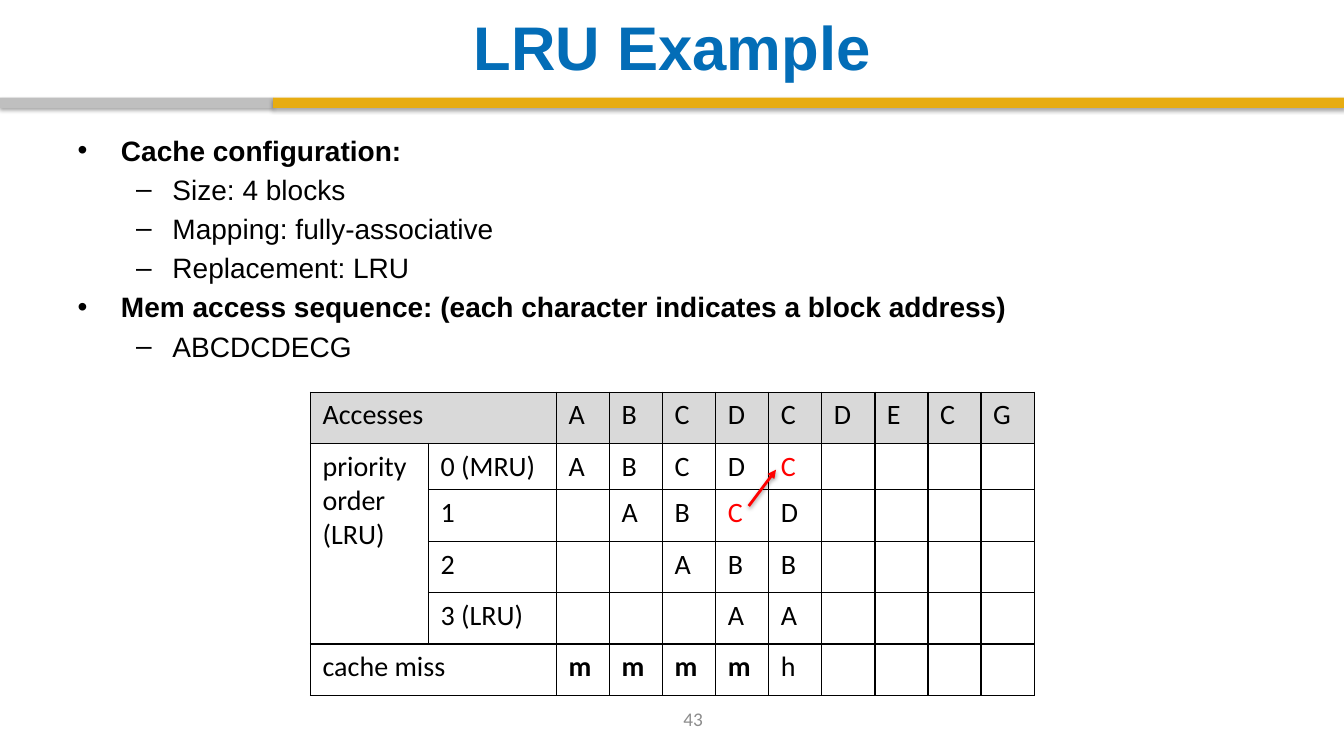
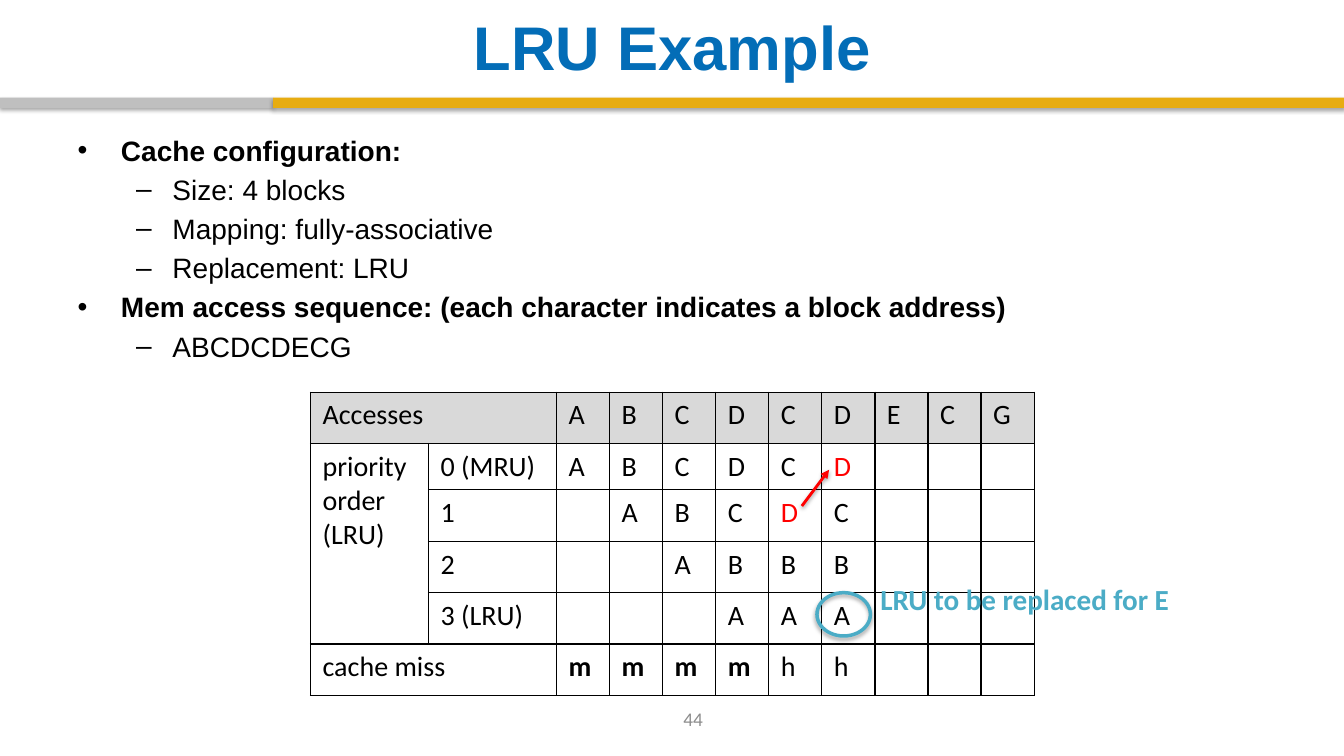
"""Build two slides that step through an LRU cache example."""
from lxml import etree
from pptx import Presentation
from pptx.dml.color import RGBColor
from pptx.enum.shapes import MSO_CONNECTOR, MSO_SHAPE
from pptx.enum.text import MSO_ANCHOR, MSO_AUTO_SIZE, PP_ALIGN
from pptx.oxml.ns import qn
from pptx.util import Inches, Pt

RECTANGLE, OVAL = MSO_SHAPE.RECTANGLE, MSO_SHAPE.OVAL
STRAIGHT = MSO_CONNECTOR.STRAIGHT
MIDDLE = MSO_ANCHOR.MIDDLE
NO_FIT = MSO_AUTO_SIZE.NONE
LEFT, CENTER = PP_ALIGN.LEFT, PP_ALIGN.CENTER

BLUE, GOLD, SILVER, TEAL = "036DB7", "E7AC11", "BFBFBF", "4BACC6"
BLACK, RED, GRAY, HEADER = "000000", "FF0000", "8C8C8C", "D9D9D9"

TITLE = "LRU Example"
SEQUENCE = "ABCDCDECG"
BULLETS = [
    (0, "Cache configuration:"),
    (1, "Size: 4 blocks"),
    (1, "Mapping: fully-associative"),
    (1, "Replacement: LRU"),
    (0, "Mem access sequence: (each character indicates a block address)"),
    (1, SEQUENCE),
]
INDENTS = [(0.43, -0.43), (0.94, -0.36)]
PRIORITIES = ["0 (MRU)", "1", "2", "3 (LRU)"]
PAGES = [
    {"number": "43", "steps": 5},
    {"number": "44", "steps": 6, "victim": "LRU to be replaced for E"},
]
BANDS = [(0, 2.71, SILVER), (2.71, 10.62, GOLD)]
TABLE_LEFT, TABLE_TOP, TABLE_WIDTH = 3.08, 3.89, 7.18
LABEL_WIDTHS = [1.17, 1.27]
STEP_WIDTH = (TABLE_WIDTH - sum(LABEL_WIDTHS)) / len(SEQUENCE)
ROW_HEIGHTS = [0.51, 0.46, 0.51, 0.51, 0.51, 0.51]


def rgb(value):
    """Turn a hex string into a colour."""
    return RGBColor.from_string(value)


def inches(*values):
    """Turn numbers into lengths."""
    return [Inches(value) for value in values]


def write(frame, lines, size=20, color=BLACK, bold=False, font="Calibri", align=LEFT):
    """Fill a text frame with one paragraph per line."""
    for index, line in enumerate(lines):
        para = frame.add_paragraph() if index else frame.paragraphs[0]
        para.alignment = align
        span = para.add_run()
        span.text = line
        span.font.size, span.font.bold, span.font.name = Pt(size), bold, font
        span.font.color.rgb = rgb(color)


def add_label(page, area, text, **look):
    """Add a wrapping text box."""
    frame = page.shapes.add_textbox(*inches(*area)).text_frame
    frame.word_wrap = True
    write(frame, [text], **look)
    return frame


def add_shadow(shape, distance=1.8, opacity=35):
    """Give a shape a soft shadow below it."""
    effects = etree.SubElement(shape.element.spPr, qn("a:effectLst"))
    shadow = etree.SubElement(
        effects, qn("a:outerShdw"), blurRad=str(Pt(3.1)), dist=str(Pt(distance)),
        dir="5400000", rotWithShape="0")
    color = etree.SubElement(shadow, qn("a:srgbClr"), val=BLACK)
    etree.SubElement(color, qn("a:alpha"), val=str(opacity * 1000))


def add_frame(page, number):
    """Add the title, bands and page number."""
    title = page.shapes.title
    title.left, title.top, title.width, title.height = inches(0.67, 0.08, 12, 0.76)
    title.text_frame.vertical_anchor = MIDDLE
    write(title.text_frame, [TITLE], size=44, color=BLUE, bold=True, font="Arial", align=CENTER)
    for left, width, color in BANDS:
        band = page.shapes.add_shape(RECTANGLE, *inches(left, 0.97, width, 0.1))
        band.fill.solid()
        band.fill.fore_color.rgb = rgb(color)
        band.line.fill.background()
        add_shadow(band)
    frame = add_label(page, (5.32, 6.93, 3.11, 0.4), number, size=13.8, color=GRAY, align=CENTER)
    frame.vertical_anchor = MIDDLE


def add_bullets(page):
    """Fill the body placeholder with the cache setup."""
    body = page.placeholders[1]
    body.left, body.top, body.width, body.height = inches(0.67, 1.27, 12, 5.43)
    frame = body.text_frame
    frame.auto_size = NO_FIT
    write(frame, [line for _, line in BULLETS], font="Arial")
    for index, (para, (level, _)) in enumerate(zip(frame.paragraphs, BULLETS)):
        margin, indent = inches(*INDENTS[level])
        properties = para._p.get_or_add_pPr()
        properties.set("marL", str(margin))
        properties.set("indent", str(indent))
        para.level = level
        para.space_before = Pt(4 if index else 0)
        para.runs[0].font.bold = level == 0


def simulate(steps):
    """Return each step's blocks by recency and the row that was hit."""
    states, hits, blocks = [], [], []
    for block in SEQUENCE[:steps]:
        hits.append(blocks.index(block) if block in blocks else None)
        blocks = ([block] + [old for old in blocks if old != block])[:len(PRIORITIES)]
        states.append(blocks)
    return states, hits


def style_cell(cell, fill):
    """Set a cell's margins, borders and fill."""
    cell.margin_left = cell.margin_right = Inches(0.12)
    cell.margin_top = cell.margin_bottom = Inches(0.06)
    properties = cell._tc.get_or_add_tcPr()
    for side in ("lnL", "lnR", "lnT", "lnB"):
        border = etree.SubElement(properties, qn(f"a:{side}"), w=str(Pt(1)))
        paint = etree.SubElement(border, qn("a:solidFill"))
        etree.SubElement(paint, qn("a:srgbClr"), val=BLACK)
    if fill:
        cell.fill.solid()
        cell.fill.fore_color.rgb = rgb(fill)
    else:
        cell.fill.background()


def add_cache_table(page, states, hits):
    """Add the table of cache contents after each access."""
    widths = LABEL_WIDTHS + [STEP_WIDTH] * len(SEQUENCE)
    area = inches(TABLE_LEFT, TABLE_TOP, TABLE_WIDTH, sum(ROW_HEIGHTS))
    table = page.shapes.add_table(len(ROW_HEIGHTS), len(widths), *area).table
    table.first_row = table.horz_banding = False
    for column, width in zip(table.columns, widths):
        column.width = Inches(width)
    for index, (row, height) in enumerate(zip(table.rows, ROW_HEIGHTS)):
        row.height = Inches(height)
        for cell in row.cells:
            style_cell(cell, None if index else HEADER)

    last = len(ROW_HEIGHTS) - 1
    for row in (0, last):
        table.cell(row, 0).merge(table.cell(row, 1))
    table.cell(1, 0).merge(table.cell(last - 1, 0))

    entries = {(0, 0): ["Accesses"], (1, 0): ["priority order", "(LRU)"], (last, 0): ["cache miss"]}
    entries.update({(row, 1): [name] for row, name in enumerate(PRIORITIES, 1)})
    entries.update({(0, column): [block] for column, block in enumerate(SEQUENCE, 2)})
    for column, (blocks, hit) in enumerate(zip(states, hits), 2):
        entries.update({(row, column): [block] for row, block in enumerate(blocks, 1)})
        entries[last, column] = ["m" if hit is None else "h"]
    newest = len(states) + 1
    moved = [(1, newest), (hits[-1] + 1, newest - 1)]
    for place, lines in entries.items():
        color = RED if place in moved else BLACK
        write(table.cell(*place).text_frame, lines, color=color, bold=lines == ["m"])


def add_hit_arrow(page, left):
    """Point from the block's old place to the top row."""
    arrow = page.shapes.add_connector(STRAIGHT, *inches(left - 0.2, 5.02, left + 0.07, 4.66))
    arrow.line.color.rgb = rgb(RED)
    arrow.line.width = Pt(2)
    etree.SubElement(arrow.element.spPr.find(qn("a:ln")), qn("a:tailEnd"), type="triangle")
    add_shadow(arrow, distance=1.6, opacity=38)


def add_victim(page, left, text):
    """Circle the block that is replaced next and label it."""
    ring = page.shapes.add_shape(OVAL, *inches(left - 0.05, 5.88, 0.53, 0.43))
    ring.fill.background()
    ring.line.color.rgb = rgb(TEAL)
    ring.line.width = Pt(2.5)
    add_shadow(ring)
    add_label(page, (left + 0.48, 5.72, 3.1, 0.45), text, size=20.8, color=TEAL, bold=True)


def main():
    """Build and save the deck."""
    deck = Presentation()
    deck.slide_width, deck.slide_height = inches(13.33, 7.5)
    for content in PAGES:
        page = deck.slides.add_slide(deck.slide_layouts[1])
        add_frame(page, content["number"])
        add_bullets(page)
        steps = content["steps"]
        add_cache_table(page, *simulate(steps))
        left = TABLE_LEFT + sum(LABEL_WIDTHS) + STEP_WIDTH * (steps - 1)
        add_hit_arrow(page, left)
        if "victim" in content:
            add_victim(page, left, content["victim"])
    deck.save("out.pptx")


if __name__ == "__main__":
    main()
